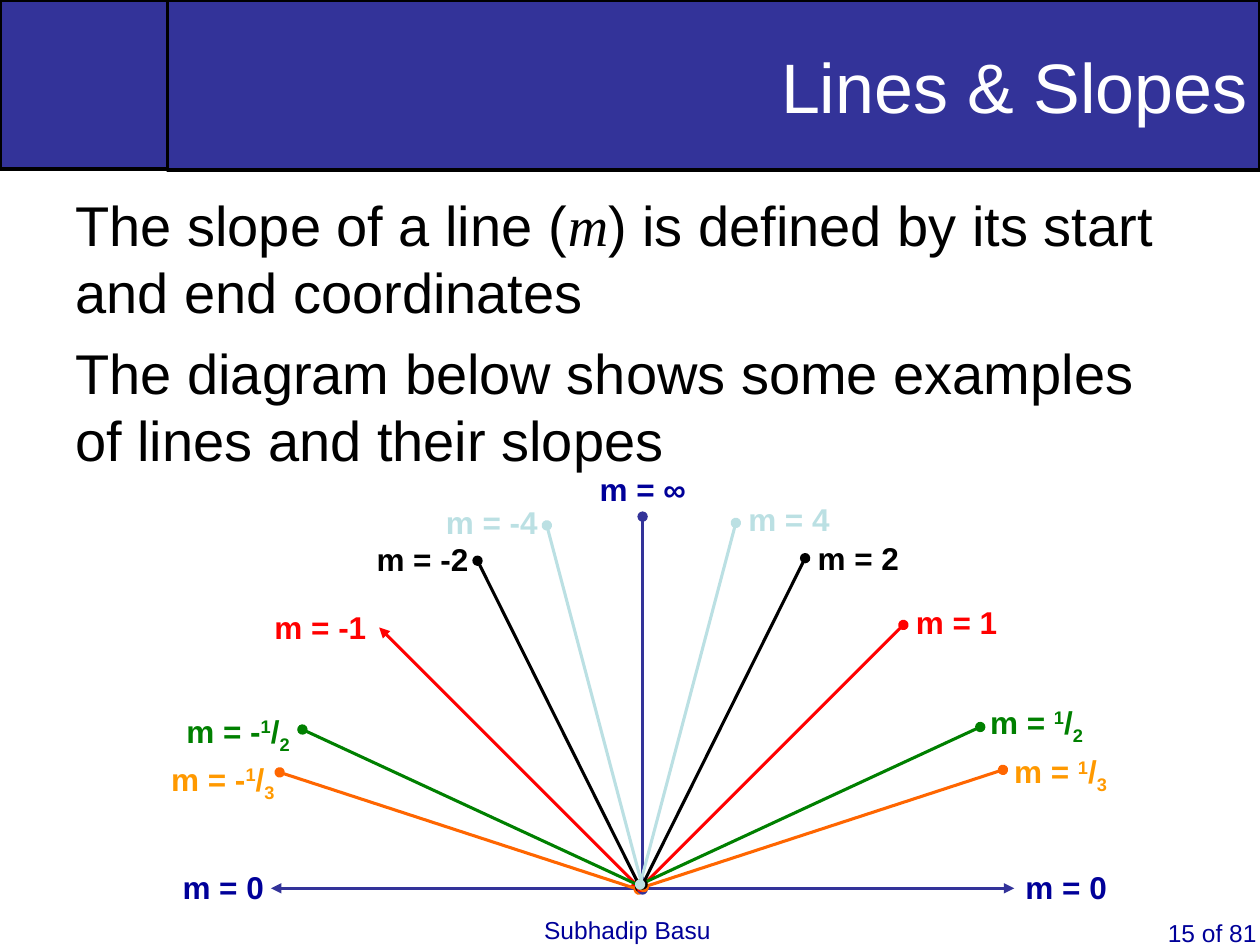
"""Build the "Lines & Slopes" slide: a fan of lines, each labelled with its slope."""
from dataclasses import dataclass

from lxml import etree
from pptx import Presentation
from pptx.dml.color import RGBColor
from pptx.enum.shapes import MSO_CONNECTOR, MSO_SHAPE
from pptx.enum.text import MSO_ANCHOR, MSO_AUTO_SIZE, PP_ALIGN
from pptx.oxml.ns import qn
from pptx.util import Inches, Pt

RECTANGLE = MSO_SHAPE.RECTANGLE
STRAIGHT = MSO_CONNECTOR.STRAIGHT
LEFT, RIGHT = PP_ALIGN.LEFT, PP_ALIGN.RIGHT
TOP, MIDDLE = MSO_ANCHOR.TOP, MSO_ANCHOR.MIDDLE
FIXED, GROW = MSO_AUTO_SIZE.NONE, MSO_AUTO_SIZE.SHAPE_TO_FIT_TEXT


@dataclass(frozen=True)
class Theme:
    band: str = "333399"
    navy: str = "000099"
    black: str = "000000"
    white: str = "FFFFFF"
    red: str = "FF0000"
    orange: str = "FF6600"
    amber: str = "FF9900"
    green: str = "008000"
    pale: str = "BBE0E3"
    font: str = "Arial"
    math_font: str = "Times New Roman"
    title_size: float = 40
    body_size: float = 32
    label_size: float = 18
    footer_size: float = 14
    frame_width: float = 2
    ray_width: float = 1.75


THEME = Theme()
presentation = Presentation()
presentation.slide_width, presentation.slide_height = Inches(10), Inches(7.5)
COLUMN = presentation.slide_width / 100
ROW = presentation.slide_height / 75
slide = presentation.slides.add_slide(presentation.slide_layouts[6])


def write(shape, paragraphs, *, size, color, bold=False, align=LEFT, anchor=TOP,
          wrap=True, gap=0):
    """Fill a shape with paragraphs, each a list of (text, style) runs."""
    frame = shape.text_frame
    frame.word_wrap = wrap
    frame.auto_size = FIXED if wrap else GROW
    frame.vertical_anchor = anchor
    for index, runs in enumerate(paragraphs):
        paragraph = frame.add_paragraph() if index else frame.paragraphs[0]
        paragraph.alignment = align
        paragraph.space_before = Pt(gap if index else 0)
        for text, style in runs:
            run = paragraph.add_run()
            run.text = text
            run.font.size = Pt(size)
            run.font.bold = bold
            run.font.color.rgb = RGBColor.from_string(color)
            run.font.name = THEME.math_font if style == "math" else THEME.font
            run.font.italic = style == "math"
            if style in ("super", "sub"):
                run.font._element.set("baseline", "30000" if style == "super" else "-25000")


def draw_ray(start, end, color, ending):
    """Draw a line between two grid points with the same ending on both ends."""
    ray = slide.shapes.add_connector(
        STRAIGHT, *(round(value * unit) for point in (start, end)
                    for value, unit in zip(point, (COLUMN, ROW))))
    ray.line.color.rgb = RGBColor.from_string(color)
    ray.line.width = Pt(THEME.ray_width)
    line = ray.line._get_or_add_ln()
    for end_tag in ("a:headEnd", "a:tailEnd"):
        etree.SubElement(line, qn(end_tag), type=ending)
    etree.SubElement(ray._element.spPr, qn("a:effectLst"))


bands = []
for left, width, height in ((0, 13.3, 13.4), (13.3, 86.7, 13.5)):
    band = slide.shapes.add_shape(RECTANGLE, round(left * COLUMN), 0,
                                  round(width * COLUMN), round(height * ROW))
    band.shadow.inherit = False
    band.fill.solid()
    band.fill.fore_color.rgb = RGBColor.from_string(THEME.band)
    band.line.color.rgb = RGBColor.from_string(THEME.black)
    band.line.width = Pt(THEME.frame_width)
    bands.append(band)
write(bands[1], [[("Lines & Slopes", "")]], size=THEME.title_size, color=THEME.white,
      align=RIGHT, anchor=MIDDLE)

body = [
    [("The slope of a line (", ""), ("m", "math"),
     (") is defined by its start and end coordinates", "")],
    [("The diagram below shows some examples of lines and their slopes", "")],
]
body_format = dict(size=THEME.body_size, color=THEME.black, gap=8)
footer_format = dict(size=THEME.footer_size, color=THEME.navy)
text_boxes = [
    ((5, 14.6, 90, 25), body, body_format),
    ((91.7, 72.4, 9.8, 5.7), [[("15 of 81", "")]], footer_format),
    ((42.2, 72.1, 15.2, 3.4), [[("Subhadip Basu", "")]], footer_format | {"wrap": False}),
]

CENTER = 50.9
LIFT = 0.2
rays = [
    ((50.9, 70.6), (30.1, 49.8), THEME.red, "triangle"),
    ((50.7, 70.6), (22.2, 61.3), THEME.orange, "oval"),
    ((51, 70.4), (24, 57.9), THEME.green, "oval"),
    ((50.8, 70.4), (37.9, 44.5), THEME.black, "oval"),
    ((51, 70.4), (43.4, 41.7), THEME.pale, "oval"),
]
draw_ray((21.5, 70.5), (80.5, 70.5), THEME.band, "triangle")
for ray in rays:
    draw_ray(*ray)
draw_ray((51, 70.6), (51, 41), THEME.band, "oval")
for start, end, color, ending in rays:
    mirrored = [(2 * CENTER - x, y - LIFT) for x, y in (start, end)]
    draw_ray(*mirrored, color, "oval")

third = [("1", "super"), ("/", ""), ("3", "sub")]
half = [("1", "super"), ("/", ""), ("2", "sub")]
labels = [
    ("m = 0", [], THEME.navy, 13.5, 68.4, 8.5),
    ("m = -", third, THEME.amber, 12.6, 59.8, 10.2),
    ("m = -", half, THEME.green, 13.8, 56, 10.2),
    ("m = -1", [], THEME.red, 20.8, 47.8, 9.3),
    ("m = -2", [], THEME.black, 28.9, 42.4, 9.3),
    ("m = -4", [], THEME.pale, 34.4, 39.4, 9.3),
    ("m = ∞", [], THEME.navy, 46.6, 36.8, 8.9),
    ("m = 4", [], THEME.pale, 58.4, 39.2, 8.5),
    ("m = 2", [], THEME.black, 63.9, 42.3, 8.5),
    ("m = 1", [], THEME.red, 71.7, 47.4, 8.5),
    ("m = ", half, THEME.green, 77.6, 55.3, 9.4),
    ("m = ", third, THEME.amber, 79.5, 59.2, 9.4),
    ("m = 0", [], THEME.navy, 80.4, 68.4, 8.5),
]
for text, fraction, color, left, top, width in labels:
    label_format = dict(size=THEME.label_size, color=color, bold=True, wrap=False)
    height = 4.4 if fraction else 4
    text_boxes.append(((left, top, width, height), [[(text, ""), *fraction]], label_format))

for (left, top, width, height), paragraphs, text_format in text_boxes:
    box = slide.shapes.add_textbox(round(left * COLUMN), round(top * ROW),
                                   round(width * COLUMN), round(height * ROW))
    write(box, paragraphs, **text_format)

presentation.save("out.pptx")
